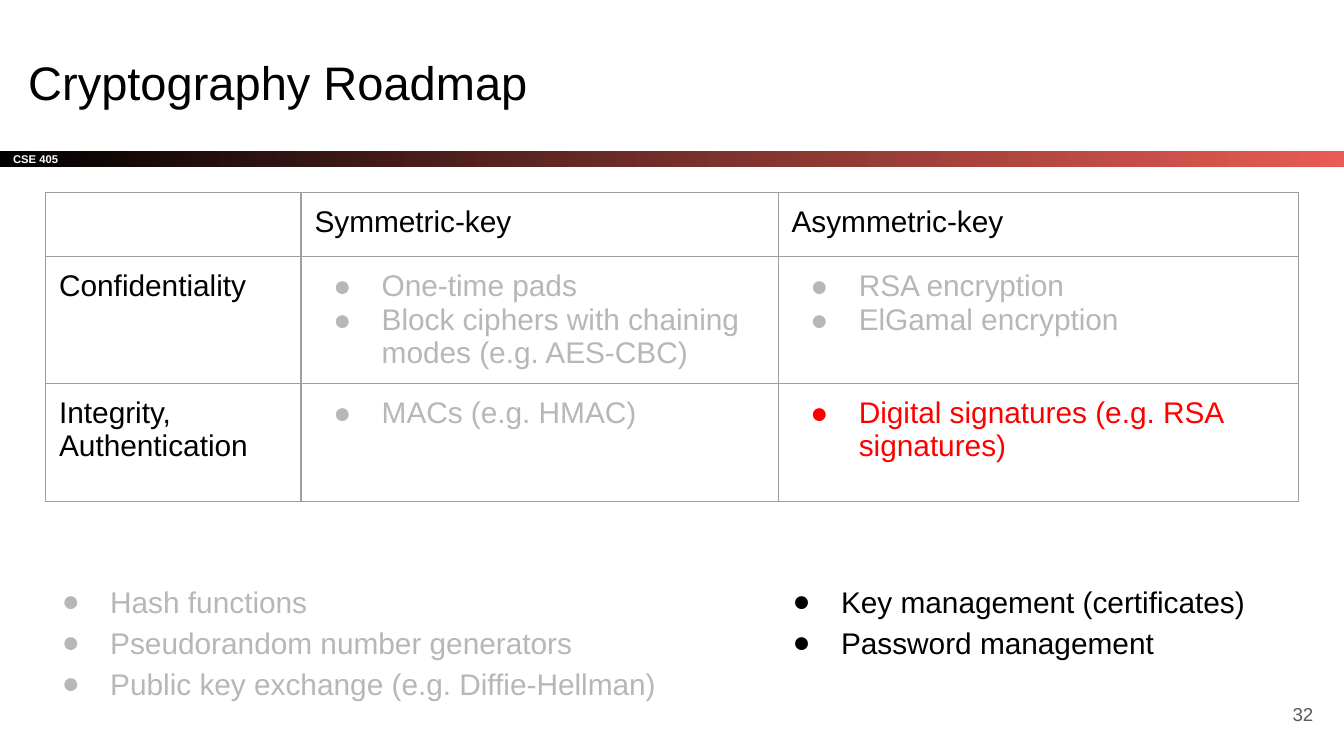
"""Build the cryptography roadmap slide."""
from pptx import Presentation
from pptx.dml import color
from pptx.enum import shapes, text
from pptx.oxml import xmlchemy
from pptx.util import Inches, Pt

BLACK, GREY, RED, WHITE = "000000", "B7B7B7", "FF0000", "FFFFFF"
BORDER, NUMBER_GREY, CORAL = "9E9E9E", "595959", "E85C54"

COLUMN_WIDTHS = [1.9, 3.55, 3.87]
ROW_HEIGHTS = [0.48, 0.94, 0.88]
ROADMAP = [
    [("", BLACK, False), ("Symmetric-key", BLACK, False), ("Asymmetric-key", BLACK, False)],
    [
        ("Confidentiality", BLACK, False),
        ("One-time pads\nBlock ciphers with chaining modes (e.g. AES-CBC)", GREY, True),
        ("RSA encryption\nElGamal encryption", GREY, True),
    ],
    [
        ("Integrity,\vAuthentication", BLACK, False),
        ("MACs (e.g. HMAC)", GREY, True),
        ("Digital signatures (e.g. RSA signatures)", RED, True),
    ],
]


def rgb(value):
    """Return a colour from a hex string."""
    return color.RGBColor.from_string(value)


def add_element(parent, tag, **attributes):
    """Append a drawing element with attributes and return it."""
    element = xmlchemy.OxmlElement(tag)
    for name, value in attributes.items():
        element.set(name, str(value))
    parent.append(element)
    return element


def place(box, left, top, width, height):
    """Move and size a shape in inches."""
    box.left, box.top = Inches(left), Inches(top)
    box.width, box.height = Inches(width), Inches(height)


def add_bullet(paragraph, shade):
    """Give a paragraph a coloured round bullet and a hanging indent."""
    properties = paragraph._p.get_or_add_pPr()
    properties.set("marL", str(Inches(0.5)))
    properties.set("indent", str(-Inches(0.36)))
    add_element(add_element(properties, "a:buClr"), "a:srgbClr", val=shade)
    add_element(properties, "a:buFont", typeface="Arial")
    add_element(properties, "a:buChar", char="●")


def write(frame, content, size, shade, bullets=False, spacing=None, bold=False,
          align=text.PP_ALIGN.LEFT, anchor=text.MSO_ANCHOR.TOP):
    """Fill a text frame and format its paragraphs and runs."""
    frame.text = content
    frame.word_wrap = True
    frame.vertical_anchor = anchor
    frame.margin_left = frame.margin_right = Inches(0.1)
    frame.margin_top = frame.margin_bottom = Inches(0.1)
    for paragraph in frame.paragraphs:
        if bullets:
            add_bullet(paragraph, shade)
        paragraph.alignment = align
        paragraph.space_before = Pt(0)
        if spacing:
            paragraph.line_spacing = spacing
        for span in paragraph.runs:
            span.font.name = "Arial"
            span.font.size = Pt(size)
            span.font.bold = bold
            span.font.color.rgb = rgb(shade)
        if not paragraph.runs:
            add_element(paragraph._p, "a:endParaRPr", sz=size * 100)


def add_text(page, bounds, content, size, shade, **options):
    """Add a formatted text box."""
    box = page.shapes.add_textbox(*map(Inches, bounds))
    write(box.text_frame, content, size, shade, **options)


def fill_placeholder(box, bounds, content, size, shade, **options):
    """Move a placeholder and give it formatted text."""
    place(box, *bounds)
    write(box.text_frame, content, size, shade, **options)
    box.text_frame.auto_size = text.MSO_AUTO_SIZE.NONE


def add_banner(page):
    """Add the gradient band with the course name."""
    band = page.shapes.add_shape(
        shapes.MSO_SHAPE.RECTANGLE, 0, Inches(1.12), Inches(10), Inches(0.12))
    band.shadow.inherit = False
    band.line.fill.background()
    band.fill.gradient()
    band.fill.gradient_angle = 0
    for stop, shade, position in zip(band.fill.gradient_stops, (BLACK, CORAL), (0, 1)):
        stop.color.rgb = rgb(shade)
        stop.position = position
    write(band.text_frame, "CSE 405", 6, WHITE, bold=True, anchor=text.MSO_ANCHOR.MIDDLE)


def style_cell(cell):
    """Give a cell thin borders, no fill and even margins."""
    properties = cell._tc.get_or_add_tcPr()
    for side in ("a:lnL", "a:lnR", "a:lnT", "a:lnB"):
        line = add_element(properties, side, w=Pt(0.75))
        add_element(add_element(line, "a:solidFill"), "a:srgbClr", val=BORDER)
    cell.fill.background()
    cell.margin_left = cell.margin_right = Inches(0.1)
    cell.margin_top = cell.margin_bottom = Inches(0.1)


def add_roadmap(page):
    """Add the table of schemes by goal and key type."""
    frame = page.shapes.add_table(
        len(ROW_HEIGHTS), len(COLUMN_WIDTHS), Inches(0.34), Inches(1.43),
        Inches(sum(COLUMN_WIDTHS)), Inches(sum(ROW_HEIGHTS)))
    table = frame.table
    table.first_row = table.horz_banding = False
    for column, width in zip(table.columns, COLUMN_WIDTHS):
        column.width = Inches(width)
    for row, height, entries in zip(table.rows, ROW_HEIGHTS, ROADMAP):
        row.height = Inches(height)
        for cell, (content, shade, bullets) in zip(row.cells, entries):
            style_cell(cell)
            write(cell.text_frame, content, 16, shade, bullets=bullets)


def main():
    """Build and save the slide."""
    deck = Presentation()
    deck.slide_width, deck.slide_height = Inches(10), Inches(10 * 9 / 16)
    page = deck.slides.add_slide(deck.slide_layouts[1])
    add_banner(page)
    fill_placeholder(page.shapes.title, (0.11, 0.3, 9.32, 0.63),
                     "Cryptography Roadmap", 25.2, BLACK)
    add_roadmap(page)
    fill_placeholder(
        page.placeholders[1], (0.22, 4.2, 4.78, 1.28),
        "Hash functions\nPseudorandom number generators\n"
        "Public key exchange (e.g. Diffie-Hellman)",
        16, GREY, bullets=True, spacing=1.15)
    add_text(page, (5.66, 4.2, 3.77, 0.78),
             "Key management (certificates)\nPassword management",
             16, BLACK, bullets=True, spacing=1.15)
    add_text(page, (9.27, 5.1, 0.6, 0.43), "32", 10, NUMBER_GREY,
             align=text.PP_ALIGN.RIGHT, anchor=text.MSO_ANCHOR.MIDDLE)
    deck.save("out.pptx")


if __name__ == "__main__":
    main()
